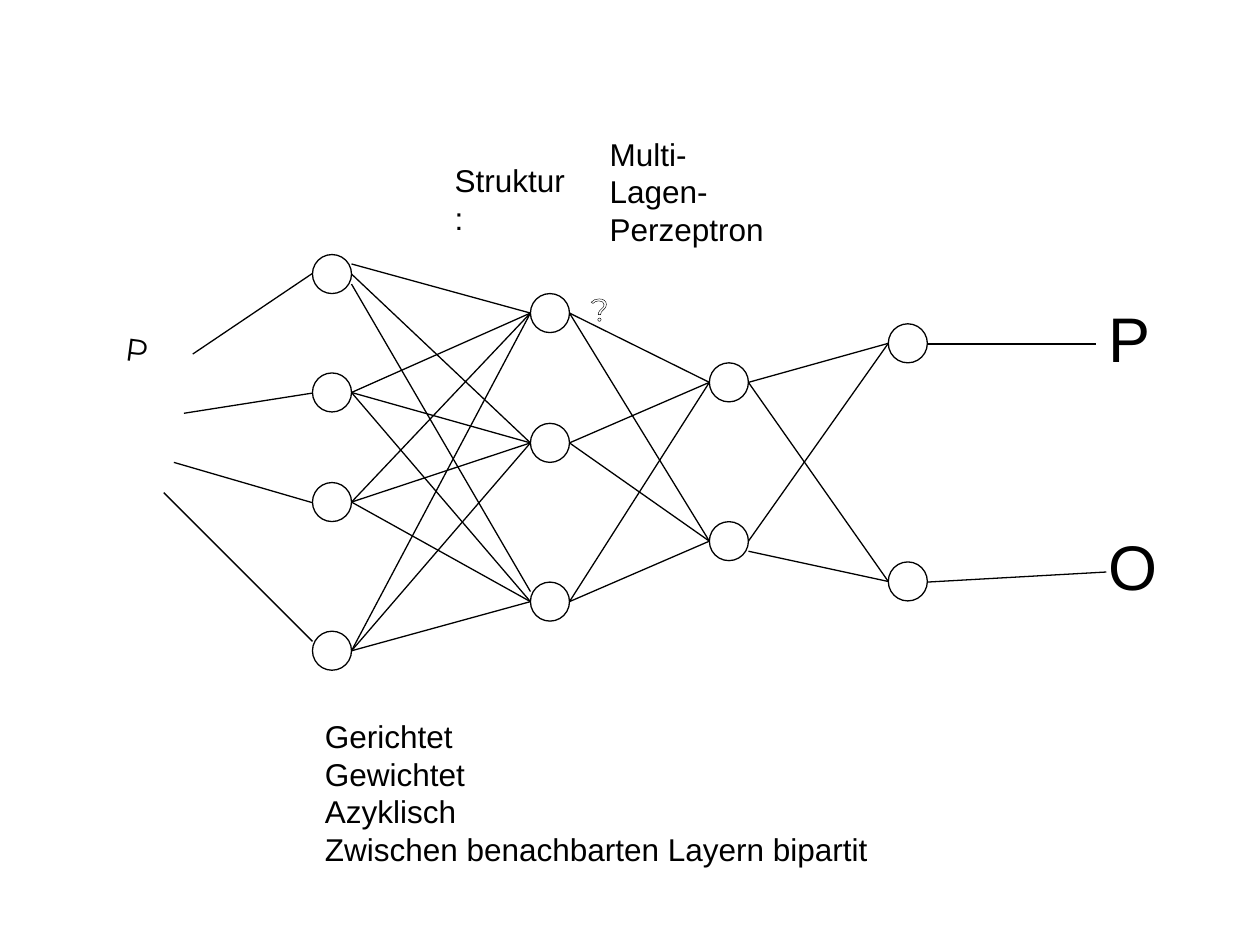
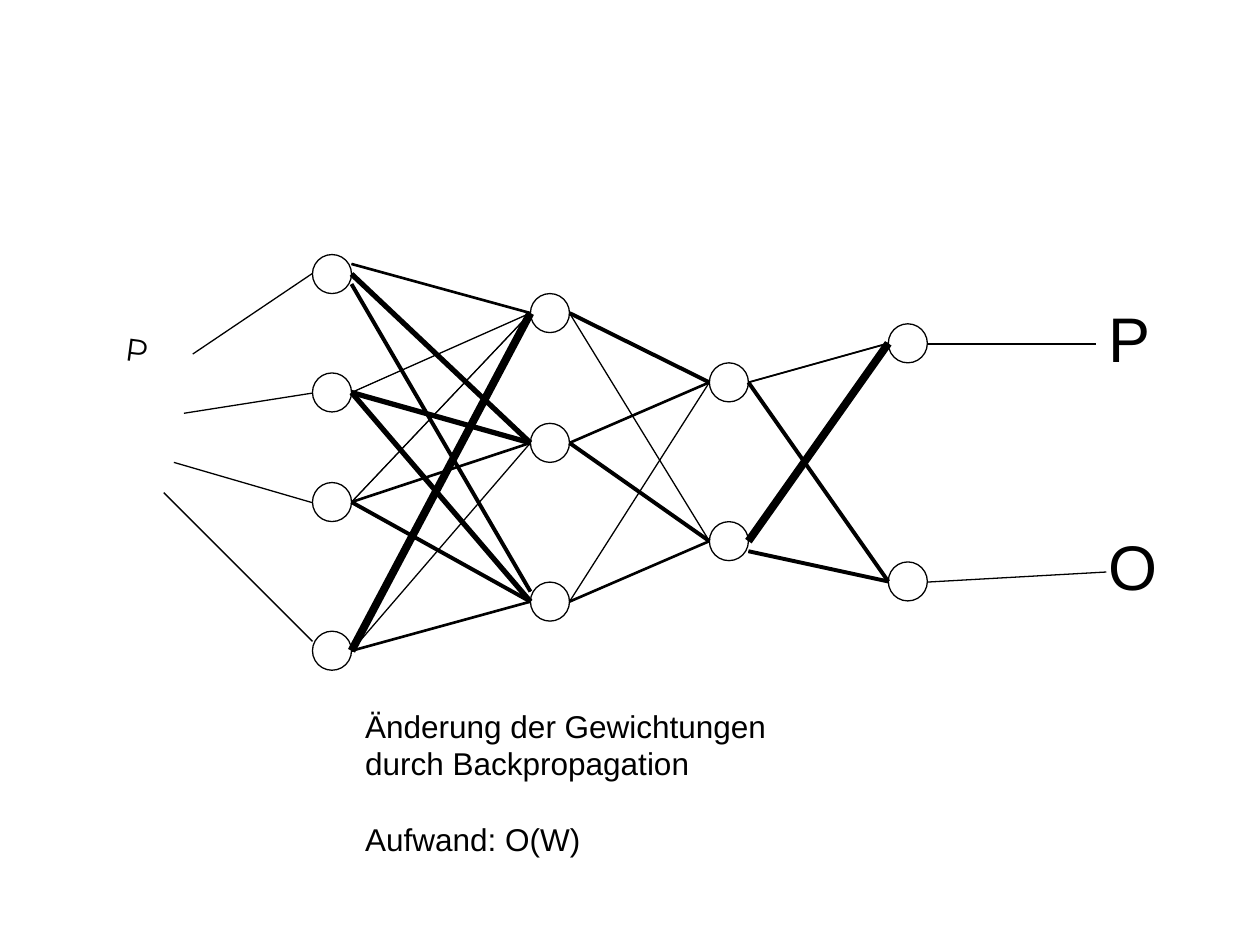
import pptx
import pptx.dml.color
import pptx.enum.shapes
import pptx.enum.text
import pptx.oxml.ns
import pptx.util
import lxml.etree
from itertools import product

Inches = pptx.util.Inches
Pt = pptx.util.Pt
qn = pptx.oxml.ns.qn
BLACK = pptx.dml.color.RGBColor(0, 0, 0)
WHITE = pptx.dml.color.RGBColor(255, 255, 255)

THIN = 0.74
DIAMETER = 0.31
LAYERS = [
    (2.48, [2.02, 2.96, 3.83, 5.01]),
    (4.21, [2.33, 3.36, 4.62]),
    (5.63, [2.88, 4.14]),
    (7.05, [2.57, 4.46]),
]
EDGES = [
    (layer, a, b)
    for layer in range(len(LAYERS) - 1)
    for a, b in product(range(len(LAYERS[layer][1])), range(len(LAYERS[layer + 1][1])))
]
START_SHIFT = {(0, 0, 0): -0.08, (0, 0, 2): 0.08, (2, 1, 1): 0.08}
END_SHIFT = {(0, 0, 2): -0.08}
INPUT_LINES = [
    (1.53, 2.81, 2.17),
    (1.46, 3.28, 3.12),
    (1.38, 3.67, 3.99),
    (1.30, 3.91, 5.09),
]
OUTPUT_LINES = [(2.73, 8.70, 2.73), (4.62, 8.78, 4.54)]
WEIGHTS = {
    (0, 0, 0): 1.5, (0, 0, 1): 3, (0, 0, 2): 2.24,
    (0, 1, 0): 0.26, (0, 1, 1): 3, (0, 1, 2): 3,
    (0, 2, 0): 0.51, (0, 2, 1): 1.5, (0, 2, 2): 2.24,
    (0, 3, 0): 4.51, (0, 3, 2): 1.5,
    (1, 0, 0): 2.24, (1, 1, 0): 1.5, (1, 1, 1): 2.24, (1, 2, 1): 1.5,
    (2, 0, 0): 0.99, (2, 0, 1): 2.24, (2, 1, 0): 4.51, (2, 1, 1): 2.24,
}


class Deck:
    font = "Arial"
    outline_font = "Montserrat"

    def __init__(self):
        self.prs = pptx.Presentation()
        self.prs.slide_width = Inches(10)
        self.prs.slide_height = Inches(7.5)

    def new_slide(self):
        self.s = self.prs.slides.add_slide(self.prs.slide_layouts[6])
        self.s.background.fill.solid()
        self.s.background.fill.fore_color.rgb = WHITE

    def box(self, x, y, w, h, text, size, font, color):
        sp = self.s.shapes.add_textbox(Inches(x), Inches(y), Inches(w), Inches(h))
        tf = sp.text_frame
        tf.text = text
        tf.word_wrap = False
        for p in tf.paragraphs:
            for r in p.runs:
                r.font.name = font
                r.font.size = Pt(size)
                r.font.color.rgb = color
        return sp

    def text(self, x, y, w, h, text, size=18):
        sp = self.box(x, y, w, h, text, size, self.font, BLACK)
        sp.text_frame.auto_size = pptx.enum.text.MSO_AUTO_SIZE.SHAPE_TO_FIT_TEXT
        for p in sp.text_frame.paragraphs:
            p.line_spacing = Pt(size * 1.2)
        return sp

    def outlined(self, x, y, w, h, text, color, rotation=0):
        sp = self.box(x, y, w, h, text, 18, self.outline_font, color)
        sp.rotation = rotation
        p = sp.text_frame.paragraphs[0]
        p.alignment = pptx.enum.text.PP_ALIGN.CENTER
        ln = lxml.etree.Element(qn("a:ln"), w=str(int(Pt(THIN))))
        fill = lxml.etree.SubElement(ln, qn("a:solidFill"))
        lxml.etree.SubElement(fill, qn("a:srgbClr"), val=str(BLACK))
        p.runs[0].font._element.insert(0, ln)

    def neuron(self, x, y):
        sp = self.s.shapes.add_shape(
            pptx.enum.shapes.MSO_SHAPE.OVAL,
            Inches(x), Inches(y), Inches(DIAMETER), Inches(DIAMETER))
        sp.shadow.inherit = False
        sp.fill.background()
        sp.line.color.rgb = BLACK
        sp.line.width = Pt(THIN)

    def line(self, x1, y1, x2, y2, width=THIN):
        sp = self.s.shapes.add_connector(
            pptx.enum.shapes.MSO_CONNECTOR.STRAIGHT,
            Inches(x1), Inches(y1), Inches(x2), Inches(y2))
        sp.line.color.rgb = BLACK
        sp.line.width = Pt(width)
        lxml.etree.SubElement(sp._element.spPr, qn("a:effectLst"))

    def neurons(self):
        for x, tops in LAYERS:
            for y in tops:
                self.neuron(x, y)

    def edge(self, key, width=THIN):
        layer, a, b = key
        x1, starts = LAYERS[layer]
        x2, ends = LAYERS[layer + 1]
        y1 = starts[a] + DIAMETER / 2 + START_SHIFT.get(key, 0)
        y2 = ends[b] + DIAMETER / 2 + END_SHIFT.get(key, 0)
        self.line(x1 + DIAMETER, y1, x2, y2, width)

    def inputs_and_outputs(self):
        self.outlined(0.59, 2.57, 0.87, 1.34, "P", BLACK, 7.6)
        self.text(8.7, 2.33, 0.53, 0.7, "P", 36)
        self.text(8.7, 4.14, 0.59, 0.7, "O", 36)
        for x, y1, y2 in INPUT_LINES:
            self.line(x, y1, LAYERS[0][0], y2)
        for y1, x, y2 in OUTPUT_LINES:
            self.line(LAYERS[-1][0] + DIAMETER, y1, x, y2)

    def network(self, weights):
        self.new_slide()
        self.inputs_and_outputs()
        for key, width in weights.items():
            self.edge(key, width)
        self.neurons()
        for key in EDGES:
            self.edge(key)


deck = Deck()

deck.network({})
deck.outlined(3.5, 2.25, 2.52, 2.84, "?", WHITE)
deck.text(4.74, 1.02, 1.42, 1, "Multi-\nLagen-\nPerzeptron")
deck.text(3.51, 1.23, 1.14, 0.4, "Struktur:")
deck.text(2.48, 5.64, 4.51, 1.3,
          "Gerichtet\nGewichtet\nAzyklisch\nZwischen benachbarten Layern bipartit")

deck.network(WEIGHTS)
sp = deck.text(2.8, 5.56, 3.45, 1.3,
               "Änderung der Gewichtungen\ndurch Backpropagation\nAufwand: O(W)")
sp.text_frame.paragraphs[-1].space_before = Pt(21.6)

deck.prs.save("out.pptx")
